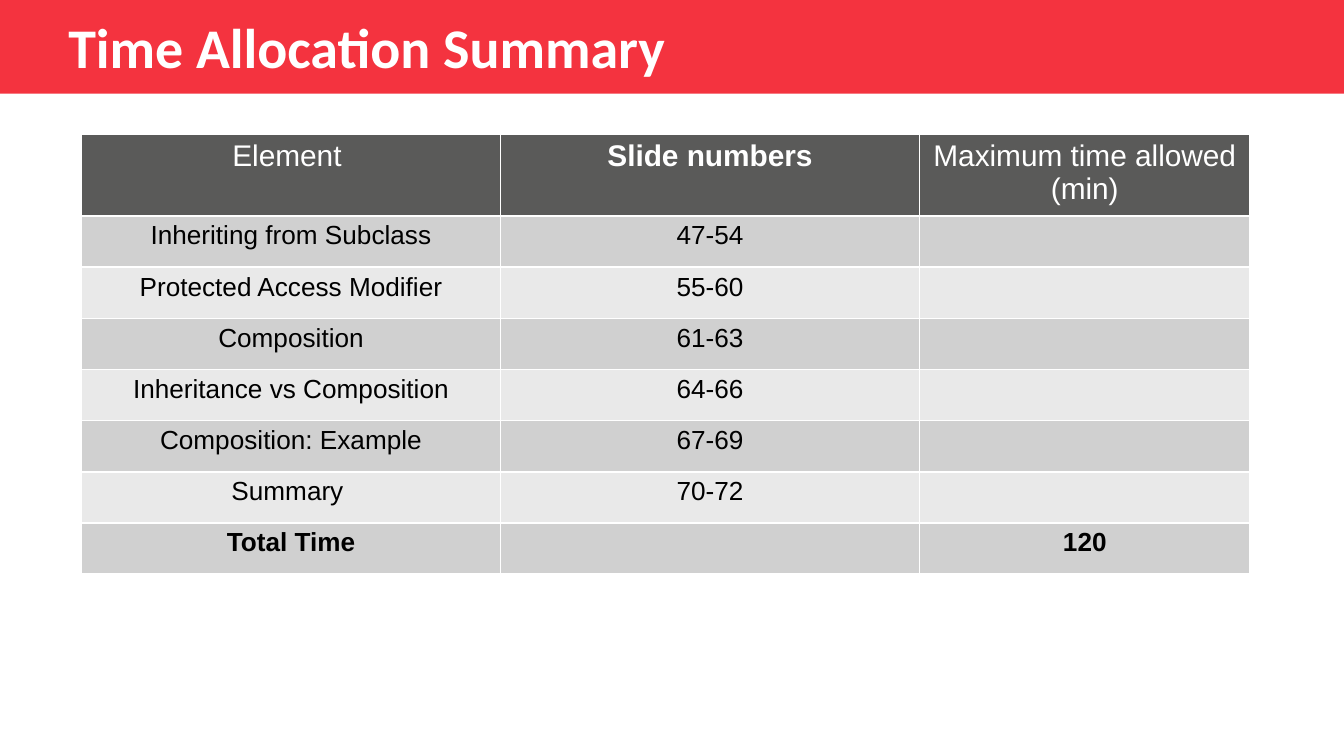
from dataclasses import dataclass

from lxml.etree import SubElement
from pptx import Presentation
from pptx.dml.color import RGBColor
from pptx.enum.shapes import MSO_SHAPE as Shape
from pptx.enum.text import MSO_ANCHOR as Anchor, PP_ALIGN as Align
from pptx.oxml.ns import qn
from pptx.util import Pt


@dataclass(frozen=True)
class Theme:
    """Colours, fonts and type sizes of the slide."""
    red: str = "F4333F"
    white: str = "FFFFFF"
    black: str = "000000"
    header: str = "5A5A59"
    bands: tuple = ("D0D0D0", "E9E9E9")
    title_font: str = "Calibri"
    body_font: str = "Arial"
    title_size: int = 30
    header_size: int = 16
    body_size: int = 14


THEME = Theme()
COLUMNS = (224.5, 224.5, 177)
HEADER_HEIGHT, ROW_HEIGHT = 42.3, 27.4
BOLD = {"Slide numbers", "Total Time", "120"}
SCHEDULE = [
    ("Element ", "Slide numbers", "Maximum time allowed (min)"),
    ("Inheriting from Subclass", "47-54", ""),
    ("Protected Access Modifier", "55-60", ""),
    ("Composition", "61-63", ""),
    ("Inheritance vs Composition", "64-66", ""),
    ("Composition: Example", "67-69", ""),
    ("Summary ", "70-72", ""),
    ("Total Time", "", "120"),
]


def format_runs(paragraph, font_name, size, color, bold):
    """Apply one type style to every run of a paragraph."""
    for run in paragraph.runs:
        run.font.name = font_name
        run.font.size = Pt(size)
        run.font.color.rgb = RGBColor.from_string(color)
        run.font.bold = bold


def add_borders(cell, color, width):
    """Draw a solid line on all four sides of a cell."""
    properties = cell._tc.get_or_add_tcPr()
    for position, side in enumerate(("lnL", "lnR", "lnT", "lnB")):
        line = SubElement(properties, qn(f"a:{side}"), w=str(Pt(width)))
        fill = SubElement(line, qn("a:solidFill"))
        SubElement(fill, qn("a:srgbClr"), val=color)
        properties.insert(position, line)


def fill_cell(cell, text, fill, size, color):
    """Write, style and border one table cell."""
    cell.fill.solid()
    cell.fill.fore_color.rgb = RGBColor.from_string(fill)
    cell.margin_left = cell.margin_right = Pt(5.4)
    cell.margin_top = cell.margin_bottom = Pt(2.7)
    add_borders(cell, THEME.white, 1)
    paragraph = cell.text_frame.paragraphs[0]
    paragraph.alignment = Align.CENTER
    if text:
        paragraph.text = text
        format_runs(paragraph, THEME.body_font, size, color, text in BOLD)
    else:
        SubElement(paragraph._p, qn("a:endParaRPr"), sz=str(size * 100))


def add_title_band(slide, left, top, width, height, title):
    """Place the coloured band and its title."""
    band = slide.shapes.add_shape(Shape.RECTANGLE, Pt(left), Pt(top), Pt(width), Pt(height))
    band.shadow.inherit = False
    band.fill.solid()
    band.fill.fore_color.rgb = RGBColor.from_string(THEME.red)
    band.line.fill.background()
    heading = slide.shapes.add_textbox(Pt(left + 29.5), Pt(top - 6.4), Pt(481), Pt(62))
    frame = heading.text_frame
    frame.word_wrap = True
    frame.vertical_anchor = Anchor.MIDDLE
    frame.text = title
    format_runs(frame.paragraphs[0], THEME.title_font, THEME.title_size, THEME.white, True)


def add_schedule(slide, left, top, width, height, rows):
    """Place the time allocation table."""
    table = slide.shapes.add_table(
        len(rows), len(COLUMNS), Pt(left), Pt(top), Pt(width), Pt(height)
    ).table
    for column, column_width in zip(table.columns, COLUMNS):
        column.width = Pt(column_width)
    for index, entries in enumerate(rows):
        if index == 0:
            row_height = HEADER_HEIGHT
            style = THEME.header, THEME.header_size, THEME.white
        else:
            row_height = ROW_HEIGHT
            style = THEME.bands[(index - 1) % 2], THEME.body_size, THEME.black
        table.rows[index].height = Pt(row_height)
        for cell, text in zip(table.rows[index].cells, entries):
            fill_cell(cell, text, *style)


def main():
    """Build and save the slide."""
    deck = Presentation()
    deck.slide_width, deck.slide_height = Pt(720), Pt(405)
    slide = deck.slides.add_slide(deck.slide_layouts[6])
    add_title_band(slide, 0, 0, 720, 50.2, "Time Allocation Summary")
    table_height = HEADER_HEIGHT + ROW_HEIGHT * (len(SCHEDULE) - 1)
    add_schedule(slide, 43.7, 72, sum(COLUMNS), table_height, SCHEDULE)
    deck.save("out.pptx")


if __name__ == "__main__":
    main()
